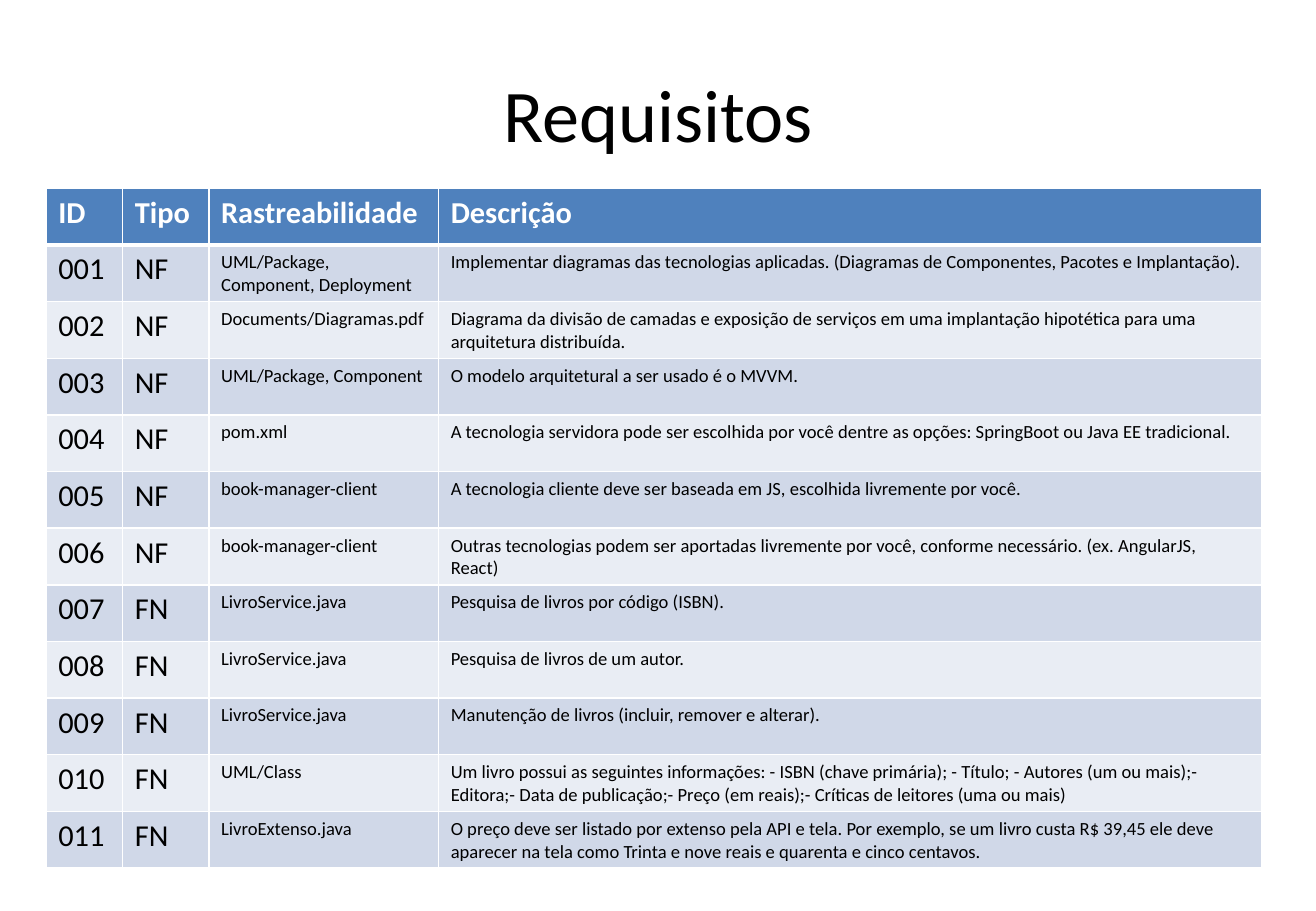
from dataclasses import dataclass

from pptx import Presentation
from pptx.dml.color import RGBColor
from pptx.enum.text import MSO_ANCHOR, PP_ALIGN
from pptx.oxml import parse_xml
from pptx.oxml.ns import nsdecls
from pptx.util import Inches, Pt


@dataclass(frozen=True)
class Theme:
    font: str = "Calibri"
    text: str = "000000"
    header_text: str = "FFFFFF"
    header_fill: str = "4F81BD"
    bands: tuple = ("D0D8E8", "E9EDF4")
    border: str = "FFFFFF"
    title_size: int = 44
    large_size: int = 18
    small_size: int = 11


theme = Theme()


def add_run(paragraph, text, size, color, bold=False):
    run = paragraph.add_run()
    run.text = text
    run.font.name = theme.font
    run.font.size = Pt(size)
    run.font.bold = bold
    run.font.color.rgb = RGBColor.from_string(color)


def set_borders(cell, bottom_width):
    properties = cell._tc.get_or_add_tcPr()
    widths = {"lnL": 1, "lnR": 1, "lnT": 1, "lnB": bottom_width}
    for position, (side, width) in enumerate(widths.items()):
        properties.insert(position, parse_xml(
            f'<a:{side} {nsdecls("a")} w="{Pt(width)}"><a:solidFill>'
            f'<a:srgbClr val="{theme.border}"/></a:solidFill></a:{side}>'))


header = ("ID", "Tipo", "Rastreabilidade", "Descrição")
requirements = [
    ("NF", "UML/Package, Component, Deployment",
     "Implementar diagramas das tecnologias aplicadas. (Diagramas de Componentes, Pacotes e Implantação)."),
    ("NF", "Documents/Diagramas.pdf",
     "Diagrama da divisão de camadas e exposição de serviços em uma implantação hipotética para uma "
     "arquitetura distribuída."),
    ("NF", "UML/Package, Component", "O modelo arquitetural a ser usado é o MVVM."),
    ("NF", "pom.xml",
     "A tecnologia servidora pode ser escolhida por você dentre as opções: SpringBoot ou Java EE tradicional."),
    ("NF", "book-manager-client",
     "A tecnologia cliente deve ser baseada em JS, escolhida livremente por você."),
    ("NF", "book-manager-client",
     "Outras tecnologias podem ser aportadas livremente por você, conforme necessário. (ex. AngularJS, React)"),
    ("FN", "LivroService.java", "Pesquisa de livros por código (ISBN)."),
    ("FN", "LivroService.java", "Pesquisa de livros de um autor."),
    ("FN", "LivroService.java", "Manutenção de livros (incluir, remover e alterar)."),
    ("FN", "UML/Class",
     "Um livro possui as seguintes informações: - ISBN (chave primária); - Título; - Autores (um ou mais);- "
     "Editora;- Data de publicação;- Preço (em reais);- Críticas de leitores (uma ou mais)"),
    ("FN", "LivroExtenso.java",
     "O preço deve ser listado por extenso pela API e tela. Por exemplo, se um livro custa R$ 39,45 ele deve "
     "aparecer na tela como Trinta e nove reais e quarenta e cinco centavos."),
]
rows = [header] + [(f"{number:03}", *entry) for number, entry in enumerate(requirements, 1)]
column_widths = (0.63, 0.71, 1.89, 6.77)

presentation = Presentation()
presentation.slide_width = Inches(10.83)
presentation.slide_height = Inches(7.5)
slide = presentation.slides.add_slide(presentation.slide_layouts[6])

title = slide.shapes.add_textbox(Inches(0.54), Inches(0.3), Inches(9.75), Inches(1.25)).text_frame
title.word_wrap = True
title.vertical_anchor = MSO_ANCHOR.MIDDLE
title.paragraphs[0].alignment = PP_ALIGN.CENTER
add_run(title.paragraphs[0], "Requisitos", theme.title_size, theme.text)

requirements_table = slide.shapes.add_table(
    len(rows), len(header), Inches(0.38), Inches(1.55), Inches(10), Inches(5.59)).table
for column, width in zip(requirements_table.columns, column_widths):
    column.width = Inches(width)

for row_index, row in enumerate(rows):
    is_header = row_index == 0
    fill = theme.header_fill if is_header else theme.bands[(row_index - 1) % 2]
    color = theme.header_text if is_header else theme.text
    for column_index, text in enumerate(row):
        cell = requirements_table.cell(row_index, column_index)
        cell.fill.solid()
        cell.fill.fore_color.rgb = RGBColor.from_string(fill)
        set_borders(cell, 3 if is_header else 1)
        size = theme.large_size if is_header or column_index < 2 else theme.small_size
        add_run(cell.text_frame.paragraphs[0], text, size, color, is_header)

presentation.save("out.pptx")
